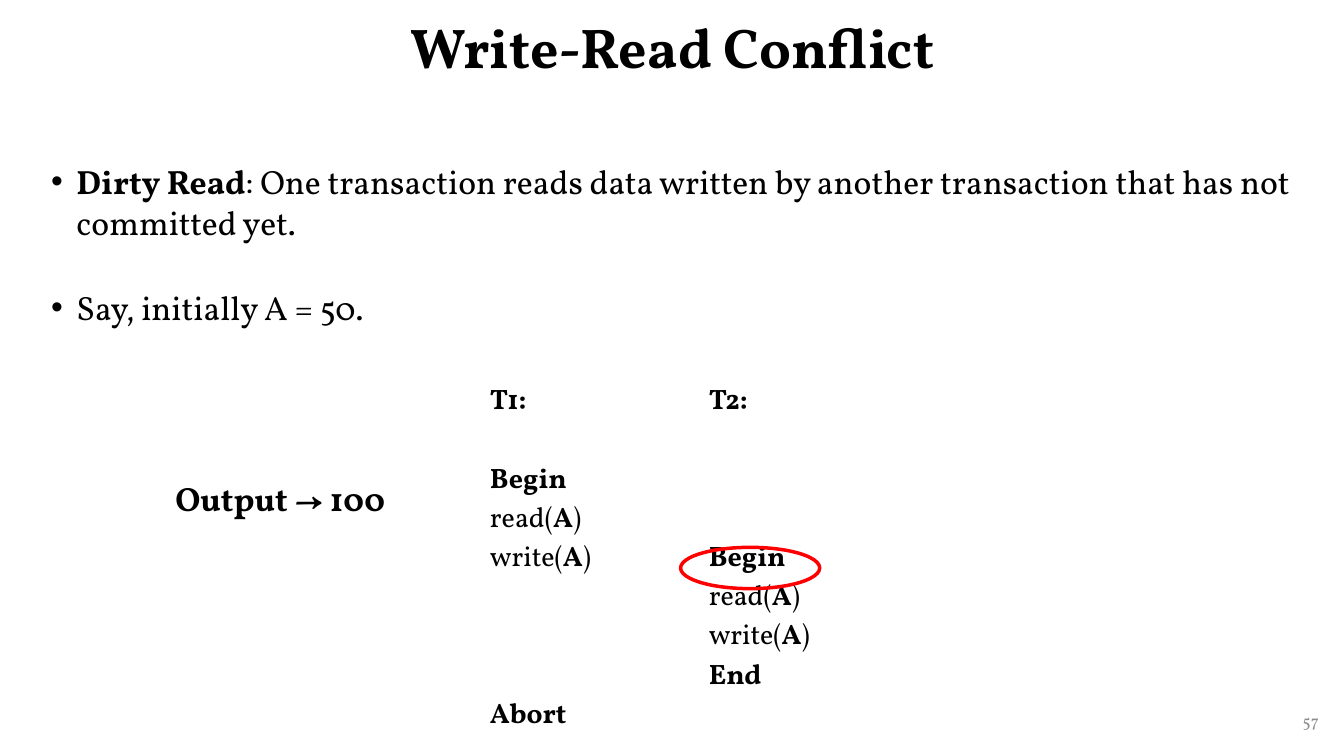
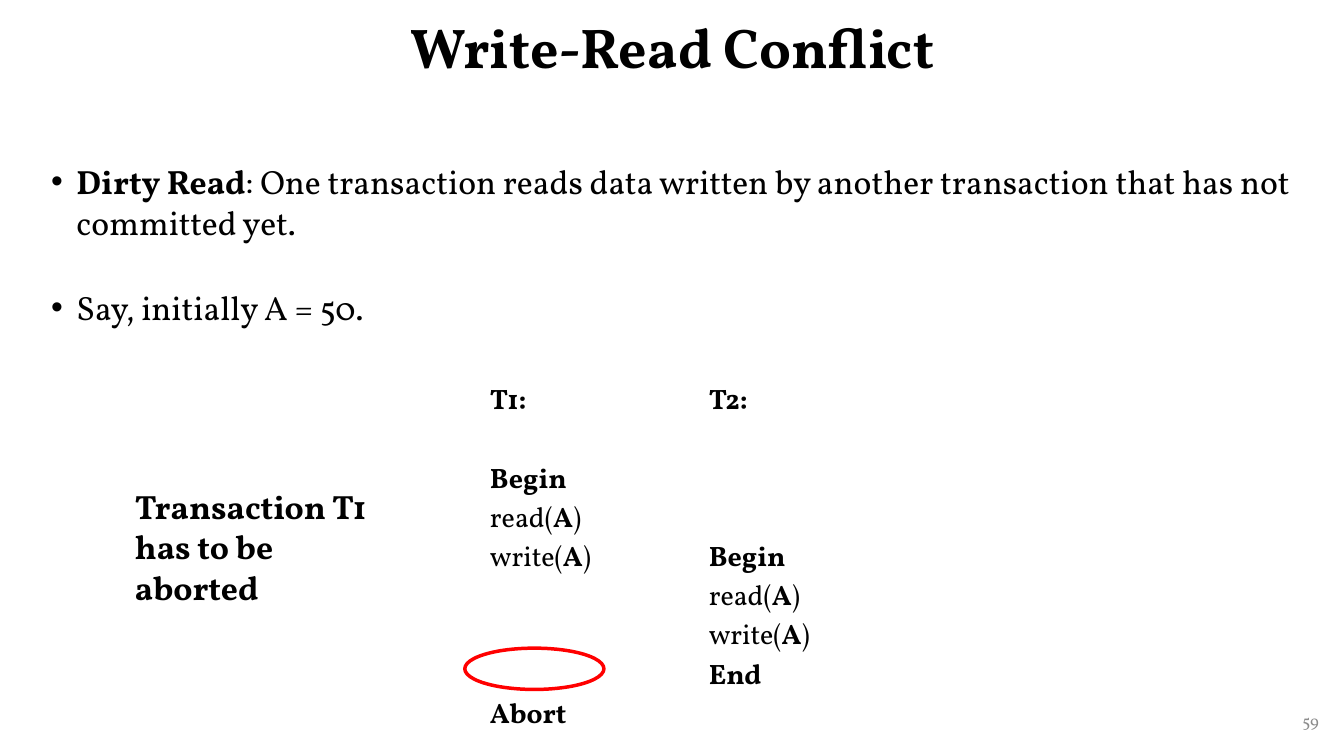
from lxml import etree
from pptx import Presentation, util as u
from pptx.dml.color import RGBColor
from pptx.enum import shapes, text
from pptx.oxml.ns import qn

FONT = "Vollkorn"
COLORS = {"ink": "000000", "number": "8C8C8C", "mark": "FF0000"}
SCHEDULE_PITCH = 28  # points from one step to the next

# Each step is (time slot, runs); each run is (words, bold).
READ_A = [("read(", False), ("A", True), (")", False)]
WRITE_A = [("write(", False), ("A", True), (")", False)]
T1_STEPS = [(0, [("T1:", True)]), (2, [("Begin", True)]), (3, READ_A),
            (4, WRITE_A), (8, [("Abort", True)])]
T2_STEPS = [(0, [("T2:", True)]), (4, [("Begin", True)]), (5, READ_A),
            (6, WRITE_A), (7, [("End", True)])]
BULLETS = [
    [("Dirty Read", True),
     (": One transaction reads data written by another transaction"
      " that has not committed yet.", False)],
    [("Say, initially A = 50.", False)],
]


def add_runs(para, runs, size, color="ink"):
    for words, bold in runs:
        span = para.add_run()
        span.text = words
        span.font.name = FONT
        span.font.size = u.Pt(size)
        span.font.bold = bold
        span.font.color.rgb = RGBColor.from_string(COLORS[color])


def next_para(frame, index):
    return frame.add_paragraph() if index else frame.paragraphs[0]


def add_text(page, box, paragraphs, size, color="ink",
             align=text.PP_ALIGN.LEFT, anchor=text.MSO_ANCHOR.TOP):
    frame = page.shapes.add_textbox(*map(u.Inches, box)).text_frame
    frame.word_wrap = True
    frame.vertical_anchor = anchor
    for index, runs in enumerate(paragraphs):
        para = next_para(frame, index)
        para.alignment = align
        add_runs(para, runs, size, color)
    return frame


def add_title(page, box, words):
    frame = add_text(page, box, [[(words, True)]], 40,
                     align=text.PP_ALIGN.CENTER, anchor=text.MSO_ANCHOR.MIDDLE)
    frame.paragraphs[0].line_spacing = 0.9


def add_page_number(page, box, number):
    add_text(page, box, [[(str(number), False)]], 12, "number",
             text.PP_ALIGN.RIGHT, text.MSO_ANCHOR.MIDDLE)


def add_bullets(page, box, items):
    frame = add_text(page, box, items, 24)
    for index, para in enumerate(frame.paragraphs):
        if index:
            para.space_before = u.Pt(32)
        props = para._p.get_or_add_pPr()
        props.set("marL", str(u.Inches(0.25)))
        props.set("indent", str(-u.Inches(0.25)))
        etree.SubElement(props, qn("a:buFont")).set("typeface", "Arial")
        etree.SubElement(props, qn("a:buChar")).set("char", "•")


def add_schedule(page, box, column_widths, columns):
    """Table with one column per transaction; steps line up by time slot."""
    table = page.shapes.add_table(1, len(columns), *map(u.Inches, box)).table
    table.first_row = False
    table.horz_banding = False
    for index, (width, steps) in enumerate(zip(column_widths, columns)):
        table.columns[index].width = u.Inches(width)
        cell = table.cell(0, index)
        cell.fill.background()
        previous = 0
        for order, (slot, runs) in enumerate(steps):
            para = next_para(cell.text_frame, order)
            if order:
                para.line_spacing = u.Pt(SCHEDULE_PITCH)
                para.space_before = u.Pt((slot - previous - 1) * SCHEDULE_PITCH)
            add_runs(para, runs, 20)
            previous = slot


def add_ring(page, left, top):
    ring = page.shapes.add_shape(shapes.MSO_SHAPE.OVAL, u.Inches(left),
                                 u.Inches(top), u.Inches(1.38), u.Inches(0.41))
    ring.shadow.inherit = False
    ring.fill.background()
    ring.line.color.rgb = RGBColor.from_string(COLORS["mark"])
    ring.line.width = u.Pt(2.5)


def add_conflict_slide(deck, number, ring_at, note_box, note_lines):
    page = deck.slides.add_slide(deck.slide_layouts[6])
    add_title(page, (0.92, 0, 11.5, 0.99), "Write-Read Conflict")
    add_page_number(page, (10.18, 6.95, 3, 0.4), number)
    add_bullets(page, (0.41, 1.55, 12.92, 1.94), BULLETS)
    add_schedule(page, (4.76, 3.75, 4.22, 3.36), (2.17, 2.05),
                 (T1_STEPS, T2_STEPS))
    add_ring(page, *ring_at)
    add_text(page, note_box, [[(line, True)] for line in note_lines], 24)


def main():
    deck = Presentation()
    deck.slide_width = u.Inches(13.33)
    deck.slide_height = u.Inches(7.5)
    add_conflict_slide(deck, 57, (6.75, 5.43), (1.64, 4.69, 2.63, 0.5),
                       ["Output → 100"])
    add_conflict_slide(deck, 59, (4.61, 6.43), (1.24, 4.77, 2.8, 0.91),
                       ["Transaction T1", "has to be aborted"])
    deck.save("out.pptx")


if __name__ == "__main__":
    main()
